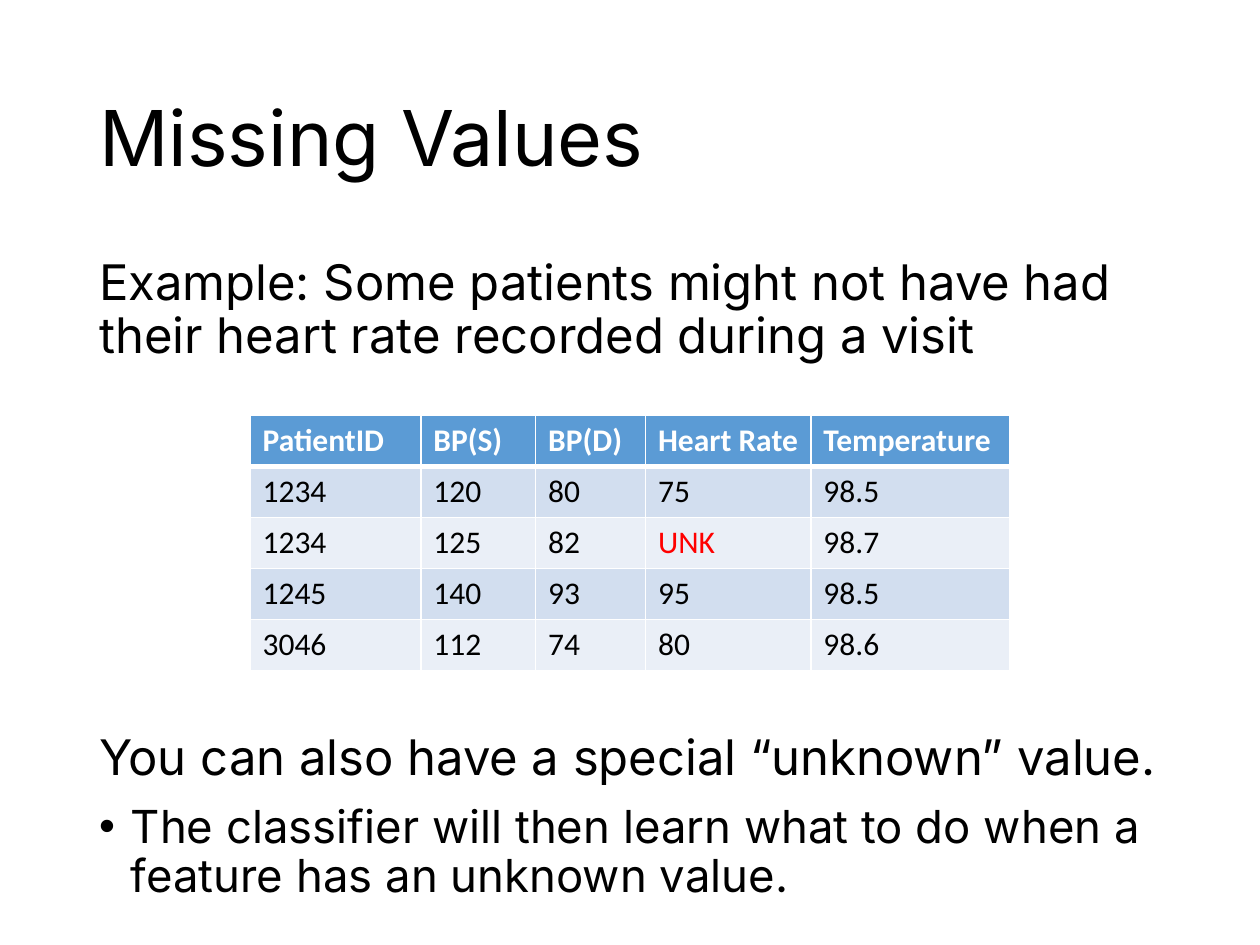
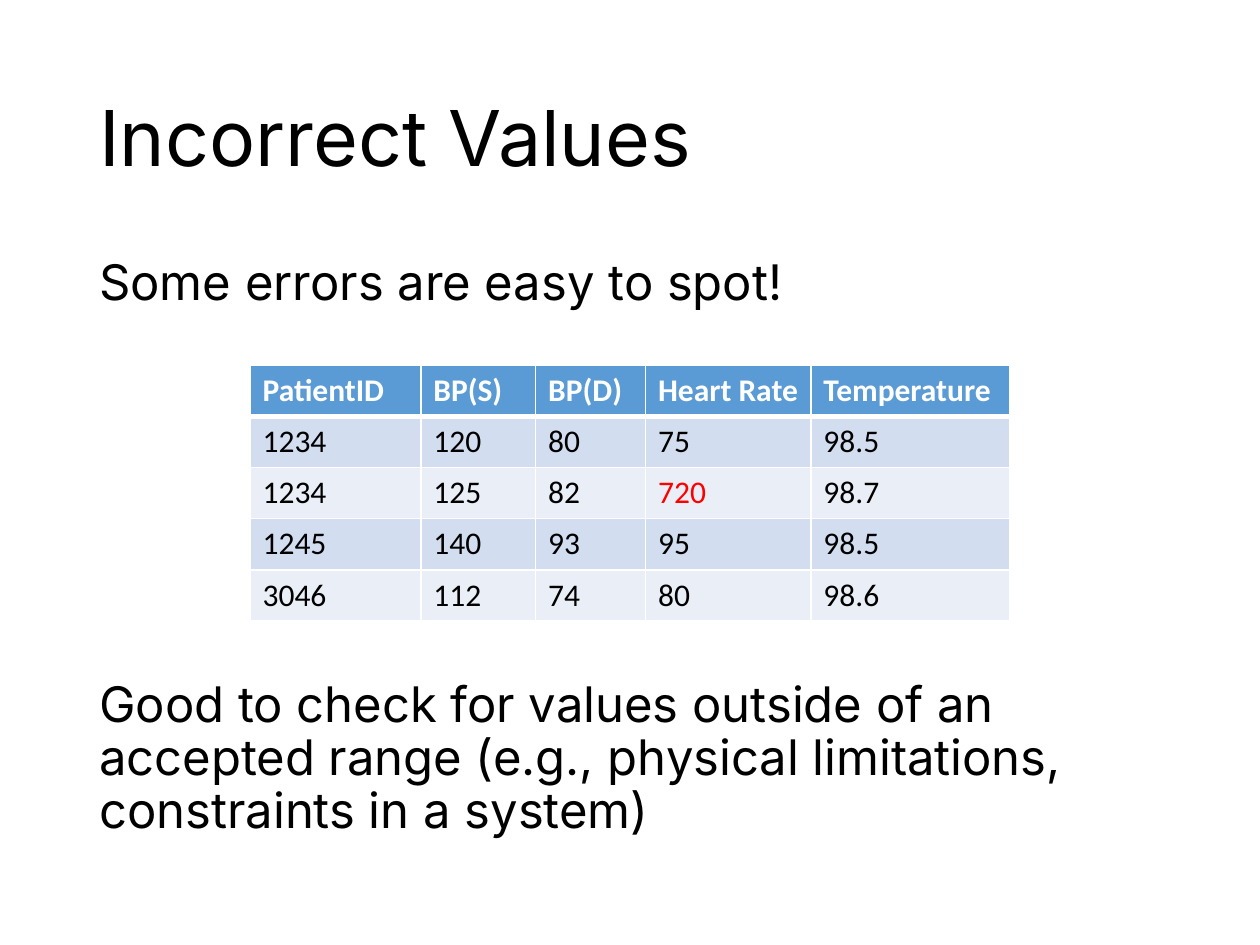
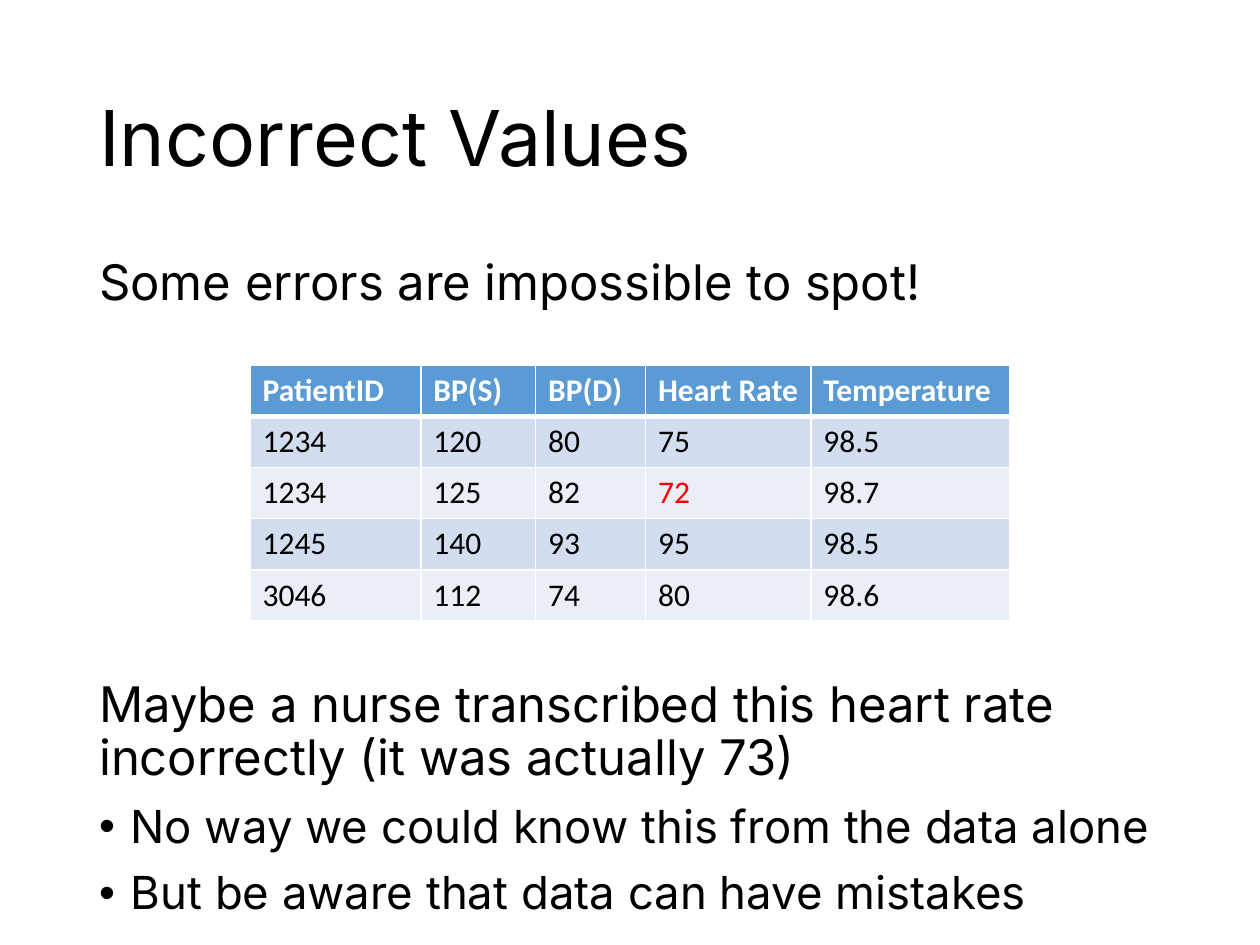
from lxml import etree
from pptx import Presentation
from pptx.dml.color import RGBColor
from pptx.enum import text as tx
from pptx.oxml import ns
from pptx.util import Pt

BLACK = RGBColor(0x00, 0x00, 0x00)
WHITE = RGBColor(0xFF, 0xFF, 0xFF)
RED = RGBColor(0xFF, 0x00, 0x00)
HEADER_BLUE = RGBColor(0x5B, 0x9B, 0xD5)
BANDS = (RGBColor(0xD2, 0xDE, 0xEF), RGBColor(0xEA, 0xEF, 0xF7))

TEXT_FONT = "Inter"
TABLE_FONT = "Calibri"

# Boxes are left, top, width, height in points.
TITLE_BOX = (49.5, 28.75, 621, 104.4)
BODY_BOX = (49.5, 144, 643.5, 396)
TABLE_LEFT = 142.9
COLUMN_WIDTHS = (97.6, 65.6, 62.8, 94.5, 113.6)
ROW_HEIGHT = 29.2
CELL_MARGIN_RIGHT = 6  # keeps "Heart Rate" on one line
PARAGRAPH_GAP = 10
TABLE_GAP = 211  # room left for the table between the two statements
BULLET_INDENT = 18

HEADINGS = ("PatientID", "BP(S)", "BP(D)", "Heart Rate", "Temperature")
SUSPECT_CELL = (2, 3)

SLIDES = (
    dict(
        title="Missing Values",
        example="Example: Some patients might not have had their heart rate "
                "recorded during a visit",
        heart_rate="UNK",
        table_top=237.2,
        lesson="You can also have a special “unknown” value.",
        remarks=("The classifier will then learn what to do when a feature "
                 "has an unknown value.",),
    ),
    dict(
        title="Incorrect Values",
        example="Some errors are easy to spot!",
        heart_rate="720",
        table_top=208.8,
        lesson="Good to check for values outside of an accepted range "
               "(e.g., physical limitations, constraints in a system)",
        remarks=(),
    ),
    dict(
        title="Incorrect Values",
        example="Some errors are impossible to spot!",
        heart_rate="72",
        table_top=208.8,
        lesson="Maybe a nurse transcribed this heart rate incorrectly "
               "(it was actually 73)",
        remarks=("No way we could know this from the data alone",
                 "But be aware that data can have mistakes"),
    ),
)


def write(paragraph, words, size=28, font=TEXT_FONT, color=BLACK, bold=False,
          before=0, spacing=0.9, bullet=False):
    """Fill a paragraph with one formatted run."""
    paragraph.alignment = tx.PP_ALIGN.LEFT
    paragraph.line_spacing = spacing
    paragraph.space_before = Pt(before)
    paragraph.space_after = Pt(0)
    run = paragraph.add_run()
    run.text = words
    run.font.size = Pt(size)
    run.font.name = font
    run.font.bold = bold
    run.font.color.rgb = color

    properties = paragraph._p.get_or_add_pPr()
    indent = Pt(BULLET_INDENT) if bullet else 0
    properties.set("marL", str(indent))
    properties.set("indent", str(-indent))
    if bullet:
        marker = etree.SubElement(properties, ns.qn("a:buFont"))
        marker.set("typeface", "Arial")
        marker = etree.SubElement(properties, ns.qn("a:buChar"))
        marker.set("char", "•")
    else:
        etree.SubElement(properties, ns.qn("a:buNone"))


def place(placeholder, box, anchor):
    """Move a placeholder to its box and return its text frame."""
    left, top, width, height = map(Pt, box)
    placeholder.left, placeholder.top = left, top
    placeholder.width, placeholder.height = width, height
    frame = placeholder.text_frame
    frame.word_wrap = True
    frame.auto_size = tx.MSO_AUTO_SIZE.NONE
    frame.vertical_anchor = anchor
    return frame


def add_title(slide, box, title):
    """Write the slide title."""
    frame = place(slide.shapes.title, box, tx.MSO_ANCHOR.MIDDLE)
    write(frame.paragraphs[0], title, size=44)


def add_statements(slide, box, example, lesson, remarks):
    """Write the example above the table, the lesson and remarks below it."""
    frame = place(slide.placeholders[1], box, tx.MSO_ANCHOR.TOP)
    write(frame.paragraphs[0], example, before=PARAGRAPH_GAP)
    write(frame.add_paragraph(), lesson, before=TABLE_GAP)
    for remark in remarks:
        write(frame.add_paragraph(), remark, size=26, before=PARAGRAPH_GAP,
              bullet=True)


def set_border(cell, side, width):
    """Draw one white cell border: side is L, R, T or B."""
    line = etree.SubElement(cell._tc.get_or_add_tcPr(), ns.qn(f"a:ln{side}"))
    line.set("w", str(Pt(width)))
    fill = etree.SubElement(line, ns.qn("a:solidFill"))
    etree.SubElement(fill, ns.qn("a:srgbClr")).set("val", str(WHITE))


def add_patient_table(slide, left, top, heart_rate):
    """Draw the patient records with the suspect heart rate in red."""
    records = (
        HEADINGS,
        ("1234", "120", "80", "75", "98.5"),
        ("1234", "125", "82", heart_rate, "98.7"),
        ("1245", "140", "93", "95", "98.5"),
        ("3046", "112", "74", "80", "98.6"),
    )
    table = slide.shapes.add_table(
        len(records), len(HEADINGS), Pt(left), Pt(top),
        Pt(sum(COLUMN_WIDTHS)), Pt(ROW_HEIGHT * len(records))).table
    for column, width in zip(table.columns, COLUMN_WIDTHS):
        column.width = Pt(width)
    for r, record in enumerate(records):
        table.rows[r].height = Pt(ROW_HEIGHT)
        heading = r == 0
        for c, value in enumerate(record):
            cell = table.cell(r, c)
            color = WHITE if heading else RED if (r, c) == SUSPECT_CELL else BLACK
            write(cell.text_frame.paragraphs[0], value, size=18,
                  font=TABLE_FONT, color=color, bold=heading, spacing=1.0)
            cell.margin_right = Pt(CELL_MARGIN_RIGHT)
            for side in "LRTB":
                under_heading = (r, side) in ((0, "B"), (1, "T"))
                set_border(cell, side, 3 if under_heading else 1)
            cell.fill.solid()
            cell.fill.fore_color.rgb = HEADER_BLUE if heading else BANDS[(r - 1) % 2]


def add_slide(deck, title, example, heart_rate, table_top, lesson, remarks):
    """Build one slide: title, statements and patient table."""
    slide = deck.slides.add_slide(deck.slide_layouts[1])
    add_title(slide, TITLE_BOX, title)
    add_statements(slide, BODY_BOX, example, lesson, remarks)
    add_patient_table(slide, TABLE_LEFT, table_top, heart_rate)


deck = Presentation()
deck.slide_width, deck.slide_height = Pt(720), Pt(540)
for content in SLIDES:
    add_slide(deck, **content)
deck.save("out.pptx")
